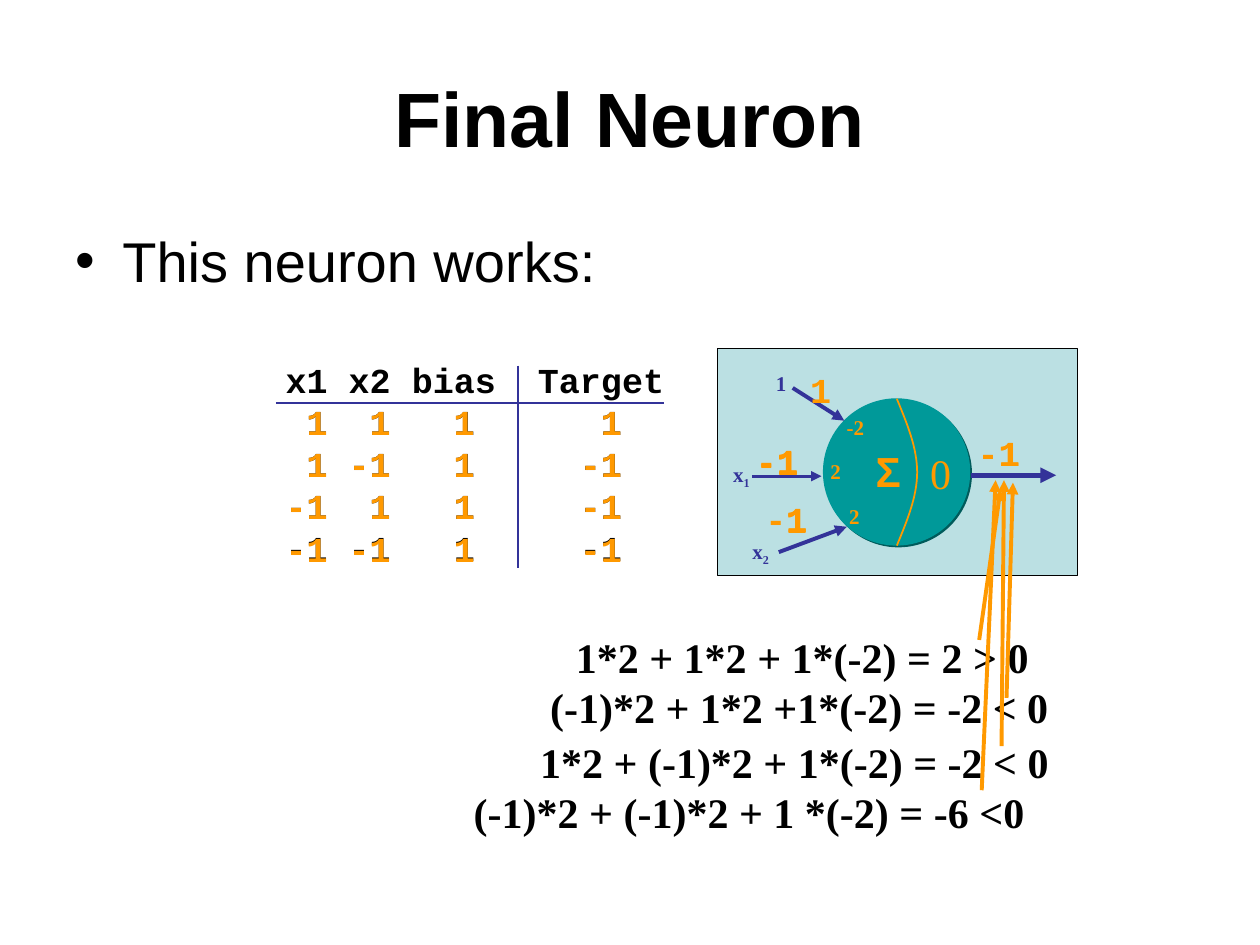
from pptx import Presentation
from pptx.dml.color import RGBColor
from pptx.enum.shapes import MSO_CONNECTOR, MSO_SHAPE
from pptx.enum.text import MSO_ANCHOR, MSO_AUTO_SIZE, PP_ALIGN
from pptx.oxml.ns import qn
from pptx.util import Cm, Pt
from lxml import etree

RECT, OVAL = MSO_SHAPE.RECTANGLE, MSO_SHAPE.OVAL
LINE = MSO_CONNECTOR.STRAIGHT
FIT = MSO_AUTO_SIZE.SHAPE_TO_FIT_TEXT
MIDDLE, TOP = MSO_ANCHOR.MIDDLE, MSO_ANCHOR.TOP
CENTER, LEFT = PP_ALIGN.CENTER, PP_ALIGN.LEFT

BLACK, BLUE, ORANGE = "000000", "333399", "FF9900"
PALE, TEAL, SHADE = "BBE0E3", "009999", "005B5B"
SANS, MONO, SERIF = "Arial", "Courier New", "Times New Roman"


def color(code):
    return RGBColor.from_string(code)


class Painter:
    def __init__(self, slide):
        self.slide = slide
        self.shapes = slide.shapes

    def style(self, frame, size, hue, font, bold=True):
        for para in frame.paragraphs:
            for run in para.runs:
                run.font.size = Pt(size)
                run.font.name = font
                run.font.bold = bold
                run.font.color.rgb = color(hue)

    def holder(self, index, text, box, size, bold, anchor, align):
        shape = self.slide.placeholders[index]
        shape.left, shape.top, shape.width, shape.height = map(Cm, box)
        frame = shape.text_frame
        frame.text = text
        frame.vertical_anchor = anchor
        frame.paragraphs[0].alignment = align
        self.style(frame, size, BLACK, SANS, bold)
        return frame.paragraphs[0]

    def text(self, text, x, y, wide, high, size, hue, font=SERIF, bold=True, sub=None):
        box = self.shapes.add_textbox(Cm(x), Cm(y), Cm(wide), Cm(high))
        frame = box.text_frame
        frame.word_wrap = False
        frame.auto_size = FIT
        frame.text = text
        if sub:
            run = frame.paragraphs[0].add_run()
            run.text = sub
            run.font._element.set("baseline", "-25000")
        self.style(frame, size, hue, font, bold)

    def code(self, text, x, y, hue=ORANGE, high=1.12):
        wide = 0.42 * max(map(len, text.split("\n"))) + 0.64
        self.text(text, x, y, wide, high, 20, hue, MONO)

    def shape(self, kind, x, y, wide, high, fill, edge=None):
        shape = self.shapes.add_shape(kind, Cm(x), Cm(y), Cm(wide), Cm(high))
        shape.shadow.inherit = False
        shape.fill.solid()
        shape.fill.fore_color.rgb = color(fill)
        if edge:
            shape.line.color.rgb = color(edge)
            shape.line.width = Pt(0.75)
        else:
            shape.line.fill.background()
        return shape

    def shade(self, shape, hue):
        effects = shape._element.spPr.find(qn("a:effectLst"))
        shadow = etree.SubElement(effects, qn("a:outerShdw"), dist="17960", dir="2700000",
                                  algn="ctr", rotWithShape="0")
        etree.SubElement(shadow, qn("a:srgbClr"), val=hue)

    def line(self, x1, y1, x2, y2, hue, width, arrow=True):
        line = self.shapes.add_connector(LINE, Cm(x1), Cm(y1), Cm(x2), Cm(y2))
        line.line.color.rgb = color(hue)
        line.line.width = Pt(width)
        if arrow:
            etree.SubElement(line.line._get_or_add_ln(), qn("a:tailEnd"), type="triangle")
        etree.SubElement(line._element.spPr, qn("a:effectLst"))

    def curve(self, points, hue):
        spots = [(Cm(x), Cm(y)) for x, y in points]
        path = self.shapes.build_freeform(*spots[0])
        path.add_line_segments(spots[1:], close=False)
        shape = path.convert_to_shape()
        shape.shadow.inherit = False
        shape.fill.background()
        shape.line.color.rgb = color(hue)
        shape.line.width = Pt(1)


def neuron(pen):
    pen.shade(pen.shape(OVAL, 16.59, 8.03, 2.97, 2.97, TEAL), SHADE)
    arc = []
    for step in range(-16, 17):
        part = step / 16
        near = 1 - abs(part)
        arc.append((18.08 + 0.41 * (1.5 * near - 0.5 * near ** 3), 9.52 + 1.48 * part))
    pen.curve(arc, ORANGE)
    pen.text("0", 18.5, 8.89, 0.95, 1.27, 24, ORANGE, bold=False)
    pen.text("Σ", 17.4, 8.86, 1.04, 1.27, 24, ORANGE, SANS)
    for text, x, y, wide, hue in [
        ("2", 16.49, 9.12, 0.75, ORANGE),
        ("2", 16.87, 10.03, 0.75, ORANGE),
        ("-2", 16.82, 8.23, 0.9, ORANGE),
        ("1", 15.39, 7.34, 0.75, BLUE),
    ]:
        pen.text(text, x, y, wide, 0.76, 12, hue)
    for sub, x, y in [("1", 14.53, 9.17), ("2", 14.92, 10.73)]:
        pen.text("x", x, y, 0.88, 0.84, 12, BLUE, sub=sub)
    for x1, y1, x2, y2, width in [
        (19.58, 9.58, 21.29, 9.58, 3),
        (15.98, 7.82, 17.02, 8.48, 2.25),
        (15.7, 11.13, 17.07, 10.62, 2.25),
        (15.16, 9.6, 16.56, 9.6, 1.5),
    ]:
        pen.line(x1, y1, x2, y2, BLUE, width)


def truth(pen):
    head = "x1 x2 bias  Target"
    rows = [" 1  1   1      1", " 1 -1   1     -1", "-1  1   1     -1", "-1 -1   1     -1"]
    pen.code("\n".join([head] + rows), 5.51, 7.11, BLACK, 4.5)
    pen.line(5.56, 8.13, 13.39, 8.13, BLUE, 1, False)
    pen.line(10.44, 7.37, 10.44, 11.46, BLUE, 1, False)
    for i, row in enumerate(rows):
        bare = row.lstrip()
        pen.code(bare, 5.51 + 0.42 * (len(row) - len(bare)), 7.95 + 0.85 * i)


def sums(pen):
    for text, x, y, wide, tail, tip in [
        ("1*2 + 1*2 + 1*(-2) = 2 > 0", 11.36, 12.6, 9.8, (19.74, 12.9), (20.17, 9.86)),
        ("(-1)*2 + 1*2 +1*(-2) = -2 < 0", 10.84, 13.61, 10.7, (20.29, 14.07), (20.42, 9.73)),
        ("1*2 + (-1)*2 + 1*(-2) = -2 < 0", 10.64, 14.72, 10.9, (20.19, 15.04), (20.24, 9.68)),
        ("(-1)*2 + (-1)*2 + 1 *(-2) = -6 <0", 9.3, 15.73, 11.8, (19.79, 15.93), (20.07, 9.68)),
    ]:
        pen.text(text, x, y, wide, 1.27, 24, BLACK)
        pen.line(*tail, *tip, ORANGE, 2.25)


def values(pen):
    for text, x, y in [
        ("1", 15.42, 8.76), ("1", 15.6, 9.93), ("1", 19.89, 8.57),
        ("1", 15.42, 8.74), ("-1", 14.99, 8.76), ("1", 15.6, 9.91),
        ("-1", 19.46, 8.57), ("1", 16.08, 7.3), ("-1", 15.18, 9.91),
        ("-1", 14.99, 8.74),
    ]:
        pen.code(text, x, y)


def main():
    deck = Presentation()
    deck.slide_width, deck.slide_height = Cm(25.4), Cm(19.05)
    pen = Painter(deck.slides.add_slide(deck.slide_layouts[1]))
    pen.holder(0, "Final Neuron", (1.27, 0.76, 22.86, 3.18), 44, True, MIDDLE, CENTER)
    item = pen.holder(1, "This neuron works:", (1.26, 4.43, 22.86, 2.16), 32, False, TOP, LEFT)
    item.space_before = Pt(8)
    pen.shape(RECT, 14.47, 7.03, 7.26, 4.58, PALE, BLACK)
    neuron(pen)
    truth(pen)
    sums(pen)
    values(pen)
    deck.save("out.pptx")


if __name__ == "__main__":
    main()
